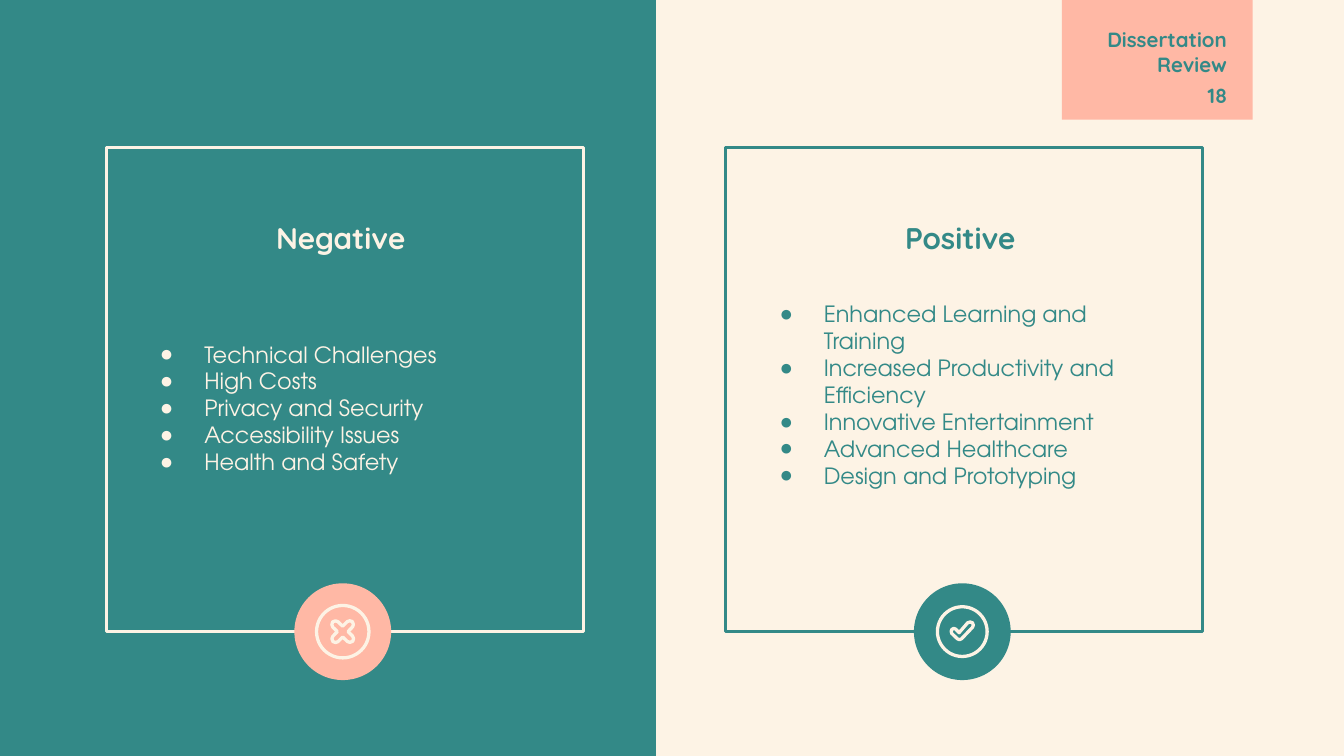
from lxml.etree import SubElement as Sub
from pptx import Presentation
from pptx.dml.color import RGBColor
from pptx.enum.shapes import MSO_SHAPE as Shape
from pptx.enum.text import MSO_ANCHOR as Anchor, MSO_AUTO_SIZE as Fit, PP_ALIGN as Align
from pptx.oxml.ns import qn
from pptx.util import Inches, Pt

WIDE = 10
HIGH = WIDE * 9 / 16
HUE = {"teal": "338987", "cream": "FDF3E5", "pink": "FFB8A5"}
HEAD, BODY = "Quicksand", "TeX Gyre Adventor"

# Icon outlines in thousandths of an inch around the badge centre
TICK = [(40, -66), (58, -72), (76, -66), (82, -48), (76, -32), (-4, 52),
        (-20, 60), (-36, 54), (-78, 14), (-83, -2), (-78, -16), (-64, -24),
        (-48, -18), (-24, 8)]
ARM = [(40, 0), (74, 34), (81, 52), (75, 72), (54, 80), (36, 74)]
CROSS = (ARM + [(-y, x) for x, y in ARM] + [(-x, -y) for x, y in ARM]
         + [(y, -x) for x, y in ARM])


def color(name):
    return RGBColor.from_string(HUE[name])


def paint(shape, fill=None, line=None, width=1.5):
    shape.shadow.inherit = False
    if fill:
        shape.fill.solid()
        shape.fill.fore_color.rgb = color(fill)
    else:
        shape.fill.background()
    if line:
        shape.line.color.rgb = color(line)
        shape.line.width = Pt(width)
    else:
        shape.line.fill.background()


def draw(slide, kind, box, **look):
    shape = slide.shapes.add_shape(kind, *map(Inches, box))
    paint(shape, **look)
    return shape


def bullet(para, hue):
    props = para._p.get_or_add_pPr()
    props.set("marL", str(Inches(0.5)))
    props.set("indent", str(Inches(-0.33)))
    tint = Sub(props, qn("a:buClr"))
    Sub(tint, qn("a:srgbClr"), val=HUE[hue])
    Sub(props, qn("a:buFont"), typeface="Arial")
    Sub(props, qn("a:buChar"), char="●")


def write(holder, box, lines, hue, align, anchor, size, face=HEAD, bold=True, dots=False):
    # Bring the text in front of the shapes drawn so far
    tree = holder._element.getparent()
    tree.append(holder._element)
    holder.left, holder.top, holder.width, holder.height = map(Inches, box)
    frame = holder.text_frame
    inset = Inches(0.1)
    form = {"word_wrap": True, "auto_size": Fit.NONE, "vertical_anchor": anchor,
            "margin_left": inset, "margin_right": inset,
            "margin_top": inset, "margin_bottom": inset}
    for key, value in form.items():
        setattr(frame, key, value)
    frame.text = "\n".join(lines)
    for para in frame.paragraphs:
        para.alignment = align
        para.space_before = Pt(0)
        if dots:
            bullet(para, hue)
        for key, value in {"name": face, "size": Pt(size), "bold": bold}.items():
            setattr(para.font, key, value)
        para.font.color.rgb = color(hue)


def badge(slide, box, fill, ring, icon):
    left, top, size, _ = box
    mid_x, mid_y = left + size / 2, top + size / 2
    draw(slide, Shape.OVAL, box, fill=fill)
    draw(slide, Shape.OVAL, (mid_x - ring / 2, mid_y - ring / 2, ring, ring),
         line="cream", width=1.75)
    pen = slide.shapes.build_freeform(*icon[0], scale=Inches(0.001))
    pen.add_line_segments(icon[1:], close=True)
    mark = pen.convert_to_shape(Inches(mid_x), Inches(mid_y))
    paint(mark, line="cream", width=1.75)


def panel(slide, box, hue, head, body, title, items, lift, fill, ring, icon):
    left, top, width, height = box
    draw(slide, Shape.RECTANGLE, box, line=hue)
    write(body, (left + 0.13, top + 0.89 - lift, 3.2, 2.09), items, hue,
          Align.LEFT, Anchor.MIDDLE, 12, BODY, False, True)
    write(head, (left + 0.6, top + 0.52, 2.29, 0.29), [title], hue,
          Align.CENTER, Anchor.MIDDLE, 16)
    badge(slide, (left + 1.4, top + height - 0.36, 0.72, 0.72), fill, ring, icon)


def tag(slide, box, head):
    left, top, width, height = box
    draw(slide, Shape.RECTANGLE, box, fill="pink")
    edge = left + width - 0.09
    write(head, (edge - 3.14, top + 0.14, 3.14, 0.53), ["Dissertation\vReview"],
          "teal", Align.RIGHT, Anchor.BOTTOM, 11)
    page = slide.shapes.add_textbox(0, 0, 0, 0)
    write(page, (edge - 0.6, top + 0.52, 0.6, 0.43), ["18"],
          "teal", Align.RIGHT, Anchor.TOP, 11)


def main():
    deck = Presentation()
    deck.slide_width, deck.slide_height = Inches(WIDE), Inches(HIGH)
    slide = deck.slides.add_slide(deck.slide_layouts[4])
    slide.background.fill.solid()
    slide.background.fill.fore_color.rgb = color("cream")
    name, con, cons, pro, pros = slide.placeholders

    # Left half and corner tag
    draw(slide, Shape.RECTANGLE, (0, 0, 4.88, HIGH), fill="teal")
    tag(slide, (7.9, 0, 1.42, 0.89), name)

    # Two sides of the comparison
    panel(slide, (0.79, 1.1, 3.55, 3.6), "cream", con, cons, "Negative",
          ["Technical Challenges", "High Costs", "Privacy and Security",
           "Accessibility Issues", "Health and Safety"],
          0, "pink", 0.39, CROSS)
    panel(slide, (5.4, 1.1, 3.55, 3.6), "teal", pro, pros, "Positive",
          ["Enhanced Learning and Training", "Increased Productivity and Efficiency",
           "Innovative Entertainment", "Advanced Healthcare", "Design and Prototyping"],
          0.1, "teal", 0.37, TICK)
    deck.save("out.pptx")


if __name__ == "__main__":
    main()
